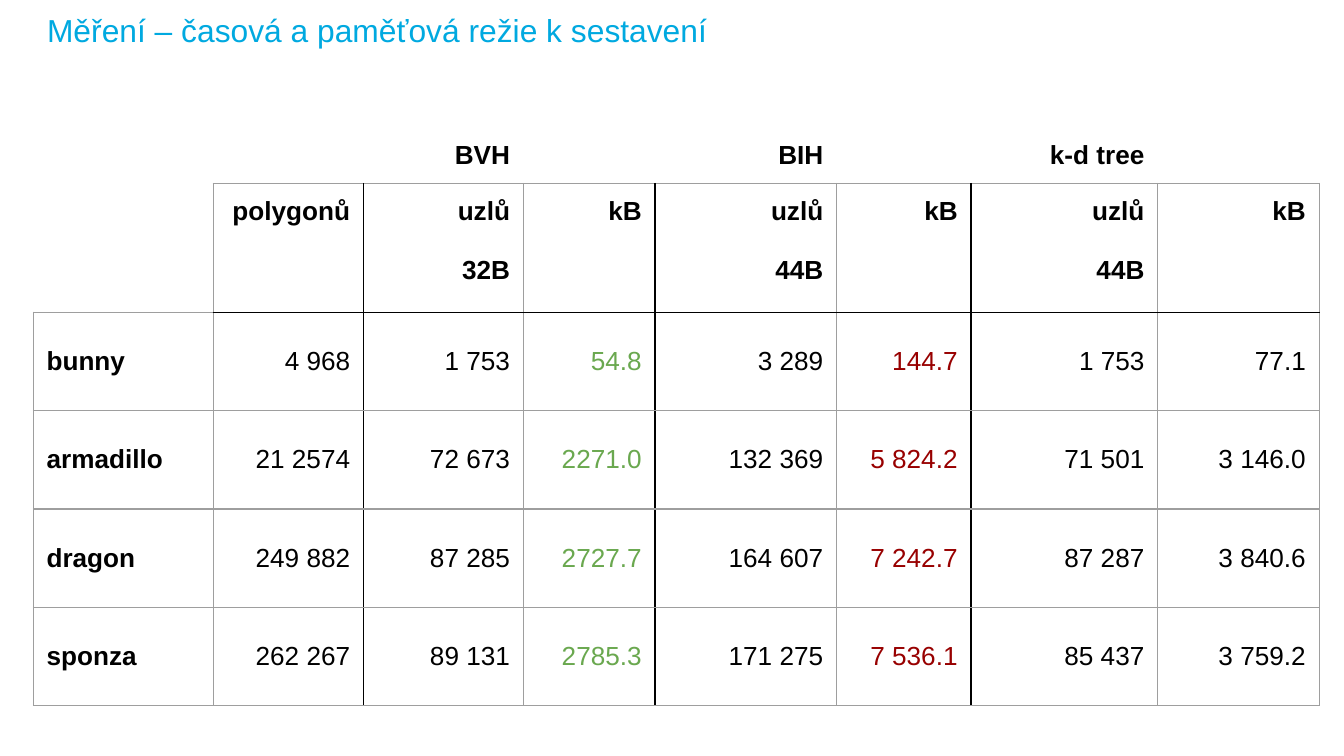
import dataclasses
import typing

import lxml.etree
import pptx
import pptx.dml.color
import pptx.enum.text
import pptx.oxml.ns
import pptx.table
import pptx.util

Cm = pptx.util.Cm
Pt = pptx.util.Pt
Anchor = pptx.enum.text.MSO_ANCHOR

FONT = "Arial"
COLOURS = {
    "title": "00A9E0",
    "text": "000000",
    "best": "6AA84F",
    "worst": "980000",
    "grid": "9E9E9E",
    "rule": "000000",
}
INSET = Cm(0.25)
TEXT_SIZE = Pt(14)
COLUMN_WIDTHS = [3.4, 2.84, 3.02, 2.49, 3.43, 2.54, 3.53, 3.05]
ROW_HEIGHTS = [1.57, 2.43] + [1.86] * 4
VALUE_COLOURS = {3: "best", 5: "worst"}
GROUP_STARTS = (2, 4, 6)


@dataclasses.dataclass
class Structure:
    name: str
    node_size: str


@dataclasses.dataclass
class Model:
    name: str
    values: list[str]


STRUCTURES = [Structure("BVH", "32B"), Structure("BIH", "44B"), Structure("k-d tree", "44B")]
MODELS = [
    Model("bunny", ["4 968", "1 753", "54.8", "3 289", "144.7", "1 753", "77.1"]),
    Model("armadillo", ["21 2574", "72 673", "2271.0", "132 369", "5 824.2", "71 501", "3 146.0"]),
    Model("dragon", ["249 882", "87 285", "2727.7", "164 607", "7 242.7", "87 287", "3 840.6"]),
    Model("sponza", ["262 267", "89 131", "2785.3", "171 275", "7 536.1", "85 437", "3 759.2"]),
]


def table_rows() -> list[list[str]]:
    names, headings = ["", ""], ["", "polygonů"]
    for structure in STRUCTURES:
        names += [structure.name, ""]
        headings += [f"uzlů\n{structure.node_size}", "kB"]
    return [names, headings] + [[model.name, *model.values] for model in MODELS]


def vertical_edge(row: int, edge: int) -> typing.Optional[str]:
    """Colour key of the line to the left of column number edge."""
    if row == 0 or (row == 1 and edge == 0):
        return None
    return "rule" if edge in GROUP_STARTS else "grid"


def horizontal_edge(edge: int, column: int) -> typing.Optional[str]:
    """Colour key of the line above row number edge."""
    if edge == 0 or (edge == 1 and column == 0):
        return None
    return "rule" if edge == 2 and column > 0 else "grid"


def set_borders(cell: pptx.table._Cell, row: int, column: int) -> None:
    edges = {
        "a:lnL": vertical_edge(row, column),
        "a:lnR": vertical_edge(row, column + 1),
        "a:lnT": horizontal_edge(row, column),
        "a:lnB": horizontal_edge(row + 1, column),
    }
    qn = pptx.oxml.ns.qn
    properties = cell._tc.get_or_add_tcPr()
    for tag, colour in edges.items():
        line = lxml.etree.SubElement(properties, qn(tag), w=str(Pt(0.75)))
        if colour is None:
            lxml.etree.SubElement(line, qn("a:noFill"))
        else:
            fill = lxml.etree.SubElement(line, qn("a:solidFill"))
            lxml.etree.SubElement(fill, qn("a:srgbClr"), val=COLOURS[colour])


def style_paragraph(paragraph, size: pptx.util.Length, colour: str, bold: bool = False) -> None:
    paragraph.font.name = FONT
    paragraph.font.size = size
    paragraph.font.bold = bold
    paragraph.font.color.rgb = pptx.dml.color.RGBColor.from_string(COLOURS[colour])


def fill_cell(cell: pptx.table._Cell, row: int, column: int, text: str) -> None:
    set_borders(cell, row, column)
    cell.fill.background()
    cell.margin_left = cell.margin_right = cell.margin_top = cell.margin_bottom = INSET
    cell.vertical_anchor = {0: Anchor.BOTTOM, 1: Anchor.TOP}.get(row, Anchor.MIDDLE)
    cell.text = text
    is_header = row < 2 or column == 0
    colour = "text" if is_header else VALUE_COLOURS.get(column, "text")
    for index, paragraph in enumerate(cell.text_frame.paragraphs):
        style_paragraph(paragraph, TEXT_SIZE, colour, is_header)
        if column > 0:
            paragraph.alignment = pptx.enum.text.PP_ALIGN.RIGHT
        if index > 0:
            paragraph.space_before = Pt(16)


def add_title(slide, text: str) -> None:
    frame = slide.shapes.add_textbox(Cm(0.64), Cm(0.1), Cm(23.77), Cm(0.91)).text_frame
    frame.word_wrap = True
    frame.vertical_anchor = Anchor.MIDDLE
    frame.margin_left = frame.margin_right = frame.margin_top = frame.margin_bottom = INSET
    frame.text = text
    style_paragraph(frame.paragraphs[0], Pt(17), "title")


def add_measurements(slide) -> None:
    rows = table_rows()
    table = slide.shapes.add_table(
        len(rows), len(COLUMN_WIDTHS), Cm(0.63), Cm(1.9),
        Cm(sum(COLUMN_WIDTHS)), Cm(sum(ROW_HEIGHTS)),
    ).table
    table.first_row = table.horz_banding = False
    for column, width in zip(table.columns, COLUMN_WIDTHS):
        column.width = Cm(width)
    for row, height in zip(table.rows, ROW_HEIGHTS):
        row.height = Cm(height)
    for row, texts in enumerate(rows):
        for column, text in enumerate(texts):
            fill_cell(table.cell(row, column), row, column, text)


def main() -> None:
    presentation = pptx.Presentation()
    presentation.slide_width = Cm(25.4)
    presentation.slide_height = Cm(14.29)
    slide = presentation.slides.add_slide(presentation.slide_layouts[6])
    add_title(slide, "Měření – časová a paměťová režie k sestavení")
    add_measurements(slide)
    presentation.save("out.pptx")


if __name__ == "__main__":
    main()
